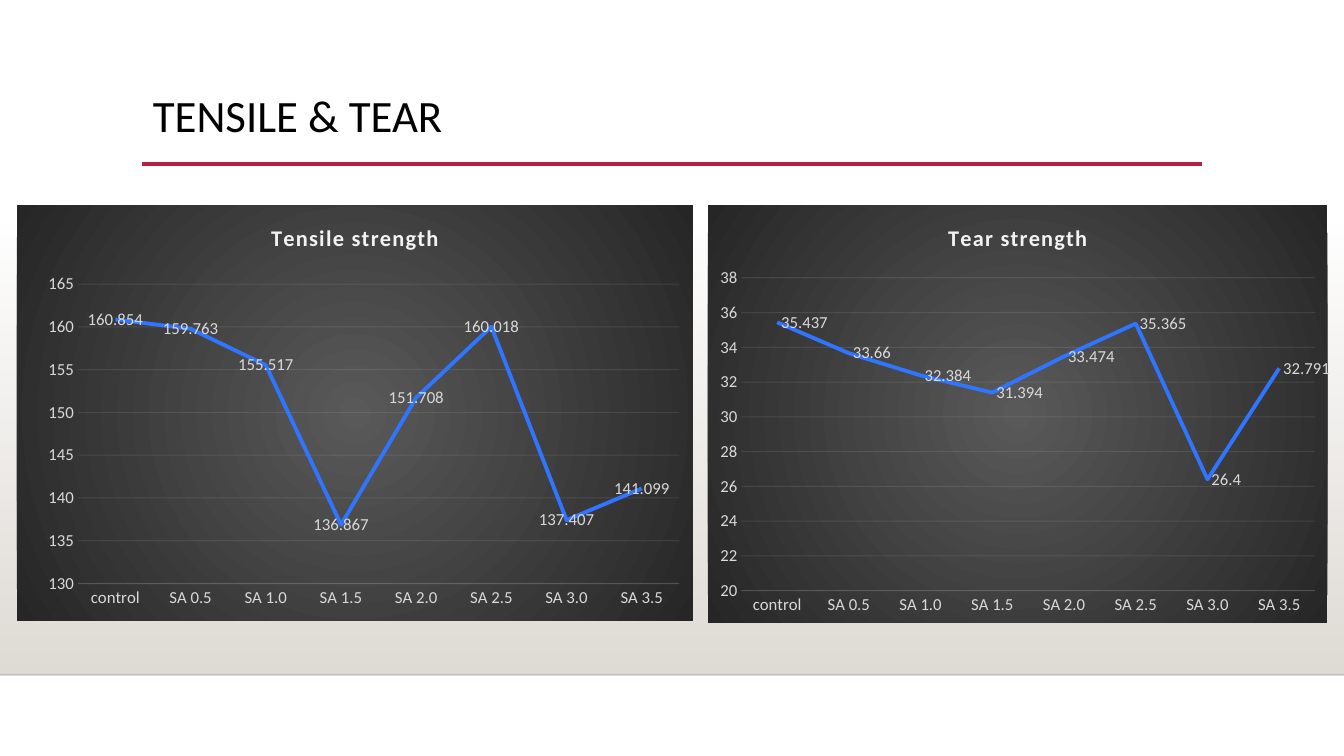
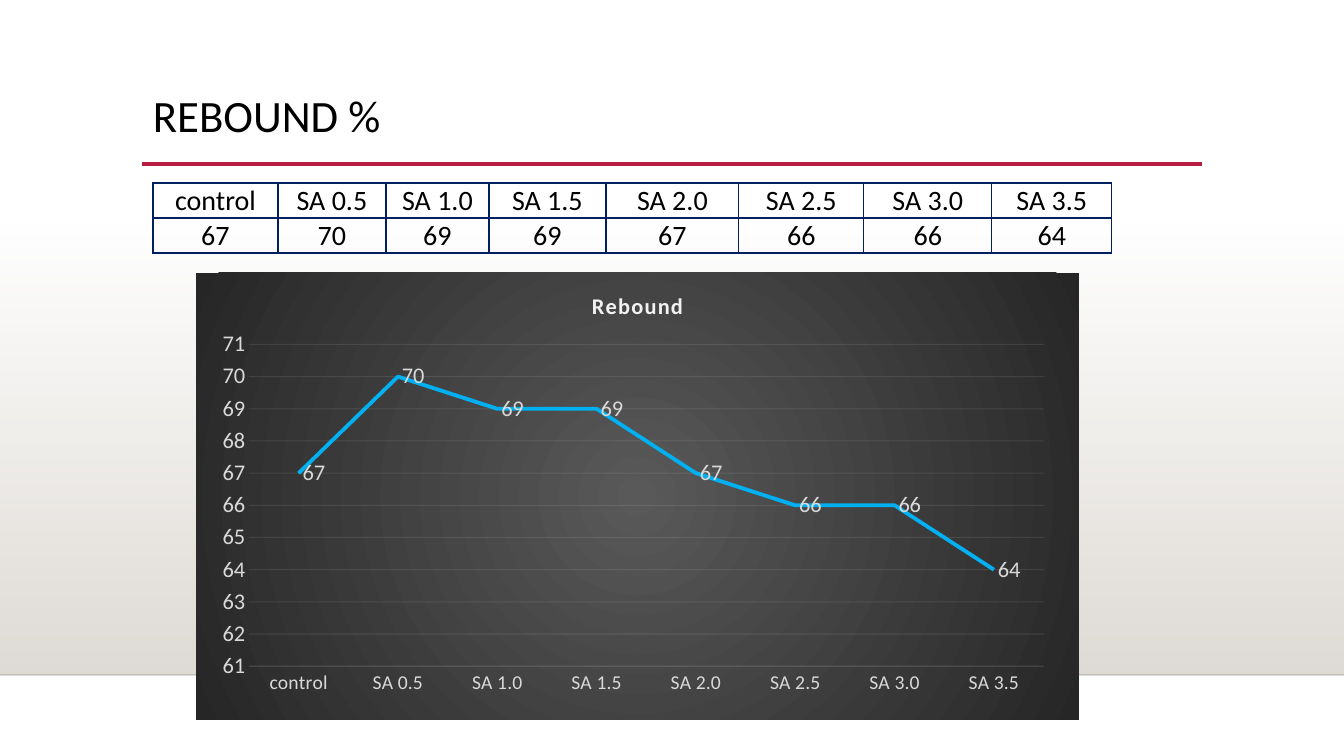
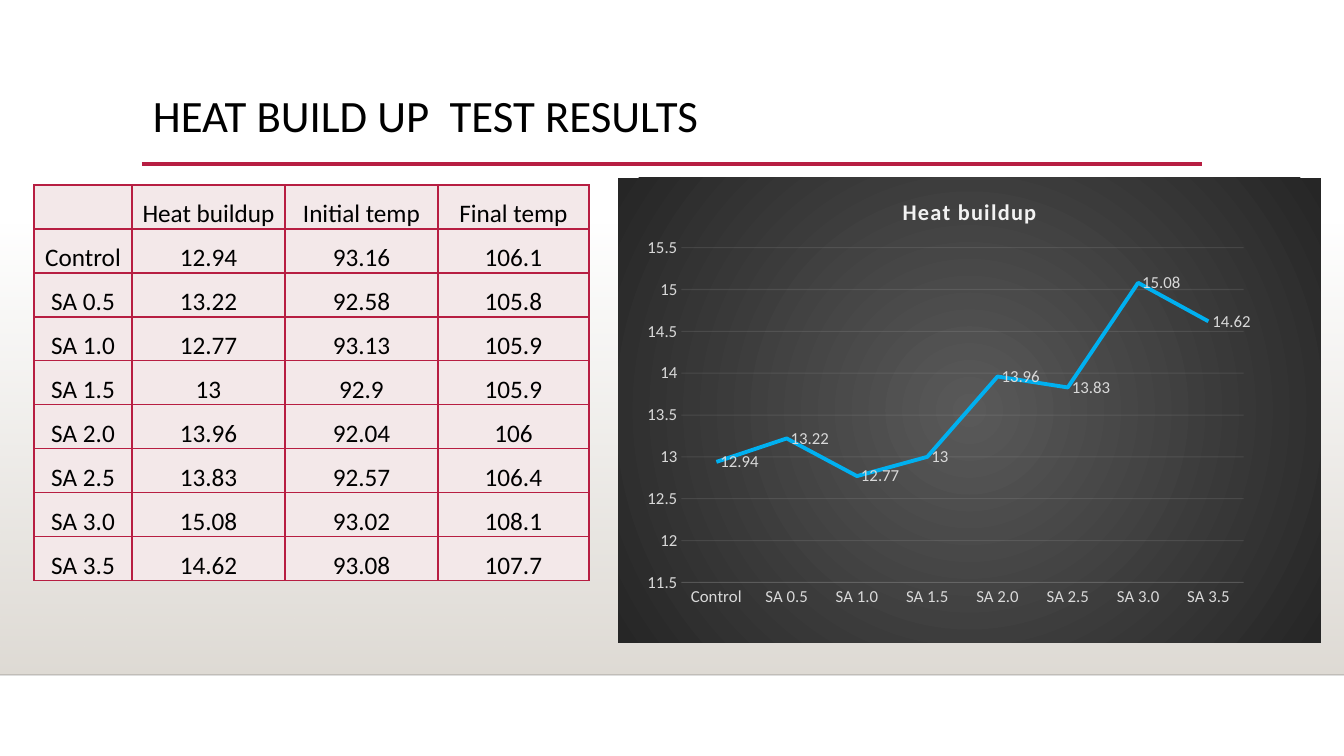
"""Build three slides of rubber test results with line charts and tables."""
from pptx import Presentation
from pptx.chart.data import CategoryChartData
from pptx.dml.color import RGBColor
from pptx.enum.chart import XL_CHART_TYPE as ChartType, XL_LABEL_POSITION as LabelPosition
from pptx.enum.chart import XL_TICK_MARK as TickMark
from pptx.enum.shapes import MSO_CONNECTOR as Connector, MSO_SHAPE as Shape
from pptx.enum.text import MSO_ANCHOR as Anchor, PP_ALIGN as Align
from pptx.oxml import parse_xml
from pptx.oxml.ns import nsdecls
from pptx.util import Pt

SCALE = 914400 / 100.8
FONT = "Calibri"
BLACK = RGBColor(0x00, 0x00, 0x00)
EDGE = RGBColor(0x00, 0x00, 0x01)
CRIMSON = RGBColor(0xB7, 0x1E, 0x42)
NAVY = RGBColor(0x00, 0x20, 0x60)
BLUSH = RGBColor(0xF3, 0xE8, 0xE9)
SAND = RGBColor(0xDF, 0xDB, 0xD5)
PALE = RGBColor(0xF2, 0xF2, 0xF2)
SILVER = RGBColor(0xD9, 0xD9, 0xD9)
GREY = RGBColor(0x59, 0x59, 0x59)
CHARCOAL = RGBColor(0x26, 0x26, 0x26)
BLUE = RGBColor(0x30, 0x75, 0xFF)
SKY = RGBColor(0x00, 0xB0, 0xF0)

BAND_FILL = f"""<a:gradFill {nsdecls("a")}><a:gsLst>
<a:gs pos="0"><a:srgbClr val="{SAND}"><a:alpha val="0"/></a:srgbClr></a:gs>
<a:gs pos="100000"><a:srgbClr val="{SAND}"/></a:gs>
</a:gsLst><a:lin ang="5400000" scaled="0"/></a:gradFill>"""
CHART_FILL = f"""<c:spPr {nsdecls("c", "a")}><a:gradFill><a:gsLst>
<a:gs pos="0"><a:srgbClr val="{GREY}"/></a:gs>
<a:gs pos="100000"><a:srgbClr val="{CHARCOAL}"/></a:gs>
</a:gsLst><a:path path="circle"><a:fillToRect l="50000" t="50000" r="50000" b="50000"/></a:path>
</a:gradFill><a:ln><a:noFill/></a:ln></c:spPr>"""

DOSES = ["SA 0.5", "SA 1.0", "SA 1.5", "SA 2.0", "SA 2.5", "SA 3.0", "SA 3.5"]
SAMPLES = ["control"] + DOSES
HEAT_SAMPLES = ["Control"] + DOSES
TENSILE = [160.854, 159.763, 155.517, 136.867, 151.708, 160.018, 137.407, 141.099]
TEAR = [35.437, 33.66, 32.384, 31.394, 33.474, 35.365, 26.4, 32.791]
REBOUND = [67, 70, 69, 69, 67, 66, 66, 64]
HEAT = [12.94, 13.22, 12.77, 13, 13.96, 13.83, 15.08, 14.62]
INITIAL = [93.16, 92.58, 93.13, 92.9, 92.04, 92.57, 93.02, 93.08]
FINAL = [106.1, 105.8, 105.9, 105.9, 106, 106.4, 108.1, 107.7]

BASE_CHART = dict(kind=ChartType.LINE, samples=SAMPLES, color=BLUE, minimum=None,
                  plot=None, position=None, label_size=12, sample_size=12)
SLIDES = [
    dict(title="TENSILE & TEAR", tables=[], charts=[
        dict(title="Tensile strength", values=TENSILE, at=(17, 205, 676, 416), minimum=130,
             plot=(0.09, 0.19, 0.89, 0.72), position=LabelPosition.CENTER),
        dict(title="Tear strength", values=TEAR, at=(708, 205, 622, 418), minimum=20)]),
    dict(title="REBOUND %", tables=[
        dict(rows=[SAMPLES, REBOUND], at=(153, 183), row_height=35, size=20, border=NAVY,
             fill=None, widths=[125, 108, 103, 117, 133, 125, 128, 120])],
         charts=[
        dict(title="Rebound", values=REBOUND, at=(196, 273, 883, 447), color=SKY,
             kind=ChartType.LINE_STACKED, plot=(0.06, 0.16, 0.9, 0.72),
             label_size=16, sample_size=14)]),
    dict(title="HEAT BUILD UP  TEST RESULTS", tables=[
        dict(rows=[["", "Heat buildup", "Initial temp", "Final temp"],
                   *zip(HEAT_SAMPLES, HEAT, INITIAL, FINAL)],
             at=(34, 185), row_height=44, size=18, border=CRIMSON, fill=BLUSH,
             widths=[98, 153, 153, 151])],
         charts=[
        dict(title="Heat buildup", values=HEAT, at=(618, 178, 703, 465), color=SKY,
             samples=HEAT_SAMPLES, plot=(0.09, 0.15, 0.8, 0.72))]),
]


def px(*lengths):
    """Turn pixel lengths into a list of EMU."""
    return [round(length * SCALE) for length in lengths]


def style_font(font, size, color):
    """Set the shared typeface with a size and colour."""
    font.name, font.size, font.color.rgb = FONT, Pt(size), color


deck = Presentation()
deck.slide_width, deck.slide_height = px(1344, 756)

for content in SLIDES:
    page = deck.slides.add_slide(deck.slide_layouts[6])
    band = page.shapes.add_shape(Shape.RECTANGLE, *px(0, 223, 1344, 452))
    band.shadow.inherit = False
    band.line.fill.background()
    band.element.spPr.prstGeom.addnext(parse_xml(BAND_FILL))

    for left, right, y, color, width, alpha in [(0, 1344, 675, EDGE, 1, 20),
                                                (142, 1202, 164, CRIMSON, 2.5, 100)]:
        rule = page.shapes.add_connector(Connector.STRAIGHT, *px(left, y, right, y))
        rule.line.color.rgb, rule.line.width = color, Pt(width)
        if alpha < 100:
            rule.element.xpath(".//a:srgbClr")[0].append(
                parse_xml(f'<a:alpha {nsdecls("a")} val="{alpha * 1000}"/>'))
        rule.element.spPr.append(parse_xml(f'<a:effectLst {nsdecls("a")}/>'))

    box = page.shapes.add_textbox(*px(143, 89, 1058, 116))
    box.text_frame.word_wrap = True
    para = box.text_frame.paragraphs[0]
    para.text, para.line_spacing = content["title"], 0.9
    style_font(para.font, 32, BLACK)

    for item in content["tables"]:
        rows, widths = item["rows"], item["widths"]
        size = sum(widths), item["row_height"] * len(rows)
        table = page.shapes.add_table(len(rows), len(widths), *px(*item["at"], *size)).table
        table.first_row = table.horz_banding = False
        for column, width in zip(table.columns, px(*widths)):
            column.width = width
        for row, values in zip(table.rows, rows):
            row.height = px(item["row_height"])[0]
            for cell, value in zip(row.cells, values):
                cell.vertical_anchor = Anchor.BOTTOM
                cell.margin_left, cell.margin_right, cell.margin_top, cell.margin_bottom = px(1, 1, 1, 0)
                for side in "LRTB":
                    cell._tc.get_or_add_tcPr().append(parse_xml(
                        f'<a:ln{side} {nsdecls("a")} w="12700"><a:solidFill>'
                        f'<a:srgbClr val="{item["border"]}"/></a:solidFill></a:ln{side}>'))
                if item["fill"]:
                    cell.fill.solid()
                    cell.fill.fore_color.rgb = item["fill"]
                else:
                    cell.fill.background()
                para = cell.text_frame.paragraphs[0]
                para.text, para.alignment = str(value), Align.CENTER
                style_font(para.font, item["size"], BLACK)

    for item in content["charts"]:
        item = BASE_CHART | item
        data = CategoryChartData()
        data.categories = item["samples"]
        data.add_series("Series 1", item["values"])
        chart = page.shapes.add_chart(item["kind"], *px(*item["at"]), data).chart
        chart.has_legend = False
        style_font(chart.font, 10, BLACK)

        chart.has_title = True
        para = chart.chart_title.text_frame.paragraphs[0]
        para.text = item["title"]
        style_font(para.font, 16, PALE)
        para.font.bold = True

        samples, scale = chart.category_axis, chart.value_axis
        for axis, size in [(samples, item["sample_size"]), (scale, item["label_size"])]:
            axis.major_tick_mark = axis.minor_tick_mark = TickMark.NONE
            style_font(axis.tick_labels.font, size, SILVER)
        scale.has_major_gridlines = True
        scale.format.line.fill.background()
        if item["minimum"] is not None:
            scale.minimum_scale = item["minimum"]
        for line in (samples.format.line, scale.major_gridlines.format.line):
            line.color.rgb, line.width = PALE, Pt(0.75)

        plot = chart.plots[0]
        plot.vary_by_categories = False
        series = plot.series[0]
        series.smooth = False
        series.format.line.color.rgb, series.format.line.width = item["color"], Pt(2.75)
        labels = series.data_labels
        labels.show_value = True
        style_font(labels.font, item["label_size"], SILVER)
        if item["position"] is not None:
            labels.position = item["position"]

        space = chart._chartSpace
        space.xpath("c:chart")[0].addnext(parse_xml(CHART_FILL))
        space.xpath(".//c:title//a:defRPr")[0].set("spc", "100")
        for color in space.xpath(".//c:majorGridlines//a:srgbClr | .//c:catAx/c:spPr//a:srgbClr"):
            color.append(parse_xml(f'<a:alpha {nsdecls("a")} val="10000"/>'))
        if item["plot"]:
            area = space.xpath(".//c:plotArea")[0]
            for layout in area.xpath("c:layout"):
                area.remove(layout)
            places = "".join(f'<c:{name} val="{value}"/>' for name, value in zip("xywh", item["plot"]))
            area.insert(0, parse_xml(
                f'<c:layout {nsdecls("c")}><c:manualLayout><c:layoutTarget val="inner"/>'
                f'<c:xMode val="edge"/><c:yMode val="edge"/>{places}</c:manualLayout></c:layout>'))

deck.save("out.pptx")
